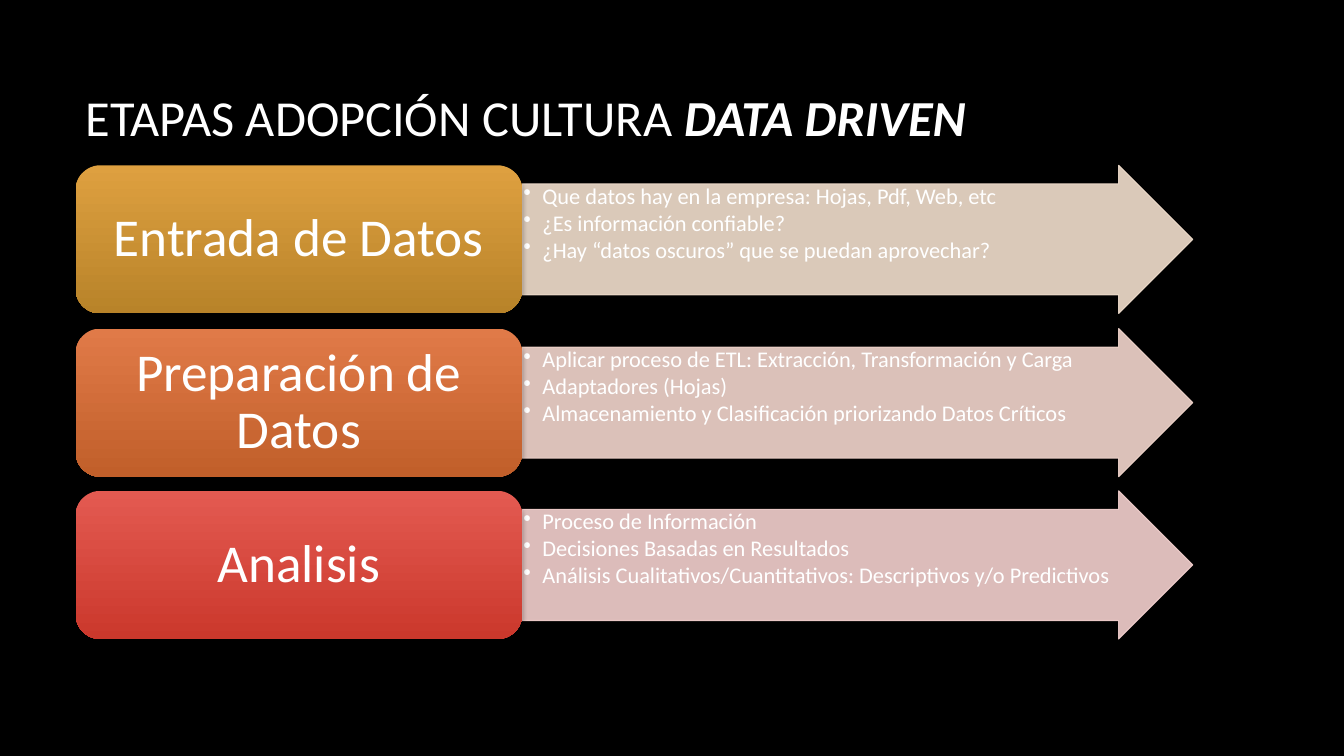
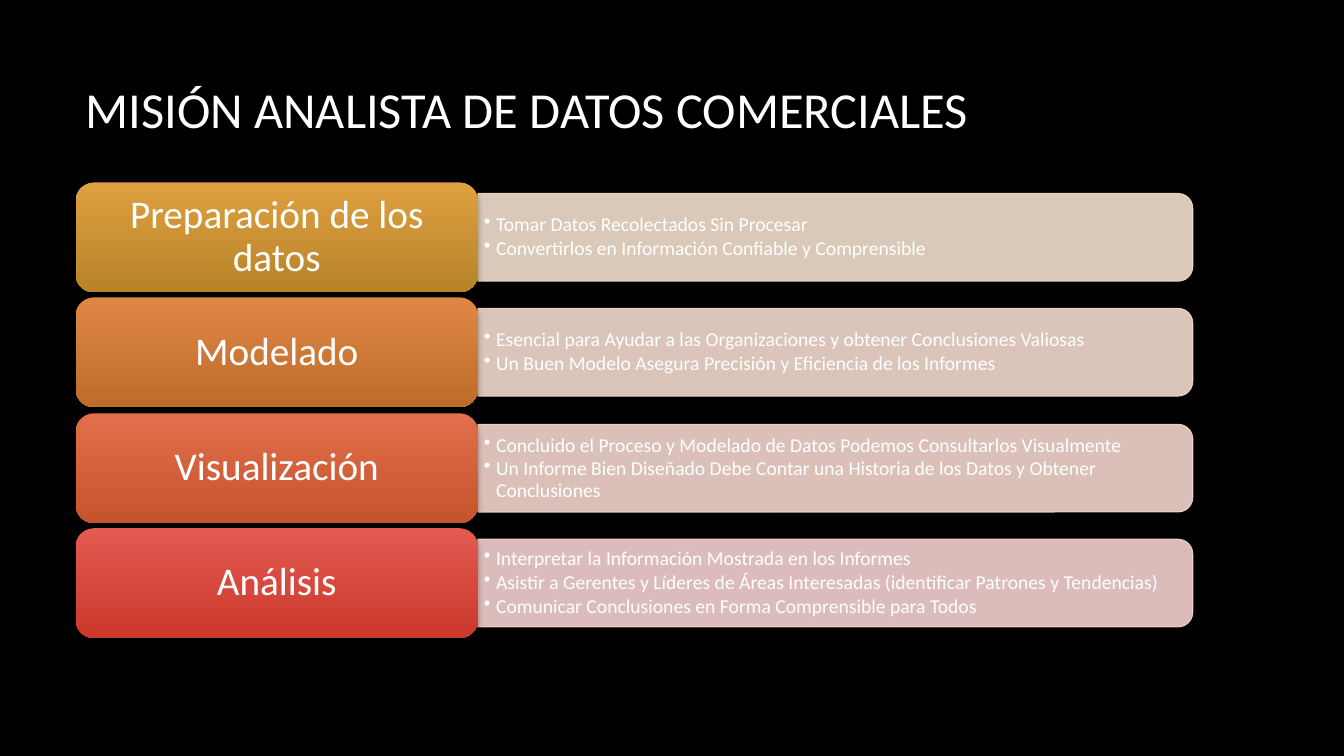
from lxml.etree import SubElement
from pptx import Presentation
from pptx.dml.color import RGBColor
from pptx.enum.shapes import MSO_SHAPE
from pptx.enum.text import MSO_ANCHOR, PP_ALIGN
from pptx.oxml.ns import qn
from pptx.util import Emu, Pt

PX = 9144
FONT = "Calibri"
COLORS = {
    "fondo": "000000",
    "texto": "FFFFFF",
    "ocre": "DEA040", "ocre_base": "B88329", "ocre_claro": "F2DFCE",
    "ambar": "DF8646", "ambar_base": "BE6C2A", "ambar_claro": "F3DACE",
    "naranja": "E07A48", "naranja_base": "C15F2A", "naranja_claro": "F3D7CE",
    "teja": "E16F4B", "teja_base": "C5532B", "teja_claro": "F3D5CF",
    "rojo": "E35A51", "rojo_base": "CB382C", "rojo_claro": "F4D1CF",
}
LEFT, RIGHT = 75, 1183

STAGES = [
    ("ocre", "Entrada de Datos", [
        "Que datos hay en la empresa: Hojas, Pdf, Web, etc",
        "¿Es información confiable?",
        "¿Hay “datos oscuros” que se puedan aprovechar?"]),
    ("naranja", "Preparación de Datos", [
        "Aplicar proceso de ETL: Extracción, Transformación y Carga",
        "Adaptadores (Hojas)",
        "Almacenamiento y Clasificación priorizando Datos Críticos"]),
    ("rojo", "Analisis", [
        "Proceso de Información",
        "Decisiones Basadas en Resultados",
        "Análisis Cualitativos/Cuantitativos: Descriptivos y/o Predictivos"]),
]
MISSION = [
    ("ocre", "Preparación de los datos", [
        "Tomar Datos Recolectados Sin Procesar",
        "Convertirlos en Información Confiable y Comprensible"]),
    ("ambar", "Modelado", [
        "Esencial para Ayudar a las Organizaciones y obtener Conclusiones Valiosas",
        "Un Buen Modelo Asegura Precisión y Eficiencia de los Informes"]),
    ("teja", "Visualización", [
        "Concluido el Proceso y Modelado de Datos Podemos Consultarlos Visualmente",
        "Un Informe Bien Diseñado Debe Contar una Historia de los Datos y Obtener Conclusiones"]),
    ("rojo", "Análisis", [
        "Interpretar la Información Mostrada en los Informes",
        "Asistir a Gerentes y Líderes de Áreas Interesadas (identificar Patrones y Tendencias)",
        "Comunicar Conclusiones en Forma Comprensible para Todos"]),
]


def px(*lengths):
    return [Emu(round(length * PX)) for length in lengths]


def rgb(name):
    return RGBColor.from_string(COLORS[name])


def apply(target, values):
    for name, value in values.items():
        setattr(target, name, value)


def row_tops(top, bottom, height, count):
    step = (bottom - top - height) / (count - 1)
    return [round(top + step * row) for row in range(count)]


class Deck:
    def __init__(self):
        self.presentation = Presentation()
        width, height = px(1333, 750)
        apply(self.presentation, {"slide_width": width, "slide_height": height})
        self.slide = None

    def new_slide(self):
        self.slide = self.presentation.slides.add_slide(self.presentation.slide_layouts[6])
        fill = self.slide.background.fill
        fill.solid()
        fill.fore_color.rgb = rgb("fondo")

    def frame(self, holder, anchor, inset_x, inset_y):
        side, edge = px(inset_x, inset_y)
        apply(holder.text_frame, {
            "word_wrap": True, "vertical_anchor": anchor,
            "margin_left": side, "margin_right": side,
            "margin_top": edge, "margin_bottom": edge})
        return holder.text_frame

    def run(self, paragraph, text, size, **emphasis):
        run = paragraph.add_run()
        run.text = text
        apply(run.font, {"name": FONT, "size": Pt(size), **emphasis})
        run.font.color.rgb = rgb("texto")

    def title(self, height, text, emphasized=""):
        box = self.slide.shapes.add_textbox(*px(LEFT, 67, RIGHT - LEFT, height))
        paragraph = self.frame(box, MSO_ANCHOR.MIDDLE, 10, 5).paragraphs[0]
        self.run(paragraph, text, 36)
        if emphasized:
            self.run(paragraph, emphasized, 36, bold=True, italic=True)

    def shadow(self, shape):
        shape.shadow.inherit = False
        effects = shape.element.spPr.find(qn("a:effectLst"))
        outer = SubElement(effects, qn("a:outerShdw"), blurRad="50800", dist="38100",
                           dir="5400000", rotWithShape="0")
        color = SubElement(outer, qn("a:srgbClr"), val=COLORS["fondo"])
        SubElement(color, qn("a:alpha"), val="35000")

    def label(self, left, top, width, height, tone, text, size, inset):
        label = self.slide.shapes.add_shape(
            MSO_SHAPE.ROUNDED_RECTANGLE, *px(left, top, width, height))
        label.fill.gradient()
        label.fill.gradient_angle = 270
        for stop, name in zip(label.fill.gradient_stops, (tone, tone + "_base")):
            stop.color.rgb = rgb(name)
        label.line.fill.background()
        self.shadow(label)
        paragraph = self.frame(label, MSO_ANCHOR.MIDDLE, inset, inset / 2).paragraphs[0]
        apply(paragraph, {"alignment": PP_ALIGN.CENTER, "line_spacing": 0.9})
        self.run(paragraph, text, size)

    def pale_shape(self, preset, left, top, width, height, tone):
        shape = self.slide.shapes.add_shape(preset, *px(left, top, width, height))
        shape.fill.solid()
        shape.line.width = Pt(0.75)
        for color in (shape.fill.fore_color, shape.line.color):
            color.rgb = rgb(tone + "_claro")
        for color in shape.element.spPr.iter(qn("a:srgbClr")):
            SubElement(color, qn("a:alpha"), val="90000")
        self.shadow(shape)
        return shape

    def bullets(self, text_frame, items, size, indent):
        for row, item in enumerate(items):
            paragraph = text_frame.add_paragraph() if row else text_frame.paragraphs[0]
            properties = paragraph._p.get_or_add_pPr()
            hang = px(indent)[0]
            properties.set("marL", str(hang))
            properties.set("indent", str(-hang))
            SubElement(properties, qn("a:buChar"), char="•")
            apply(paragraph, {"alignment": PP_ALIGN.LEFT, "line_spacing": 0.9,
                              "space_after": Pt(size * 0.13)})
            self.run(paragraph, item, size)

    def arrow(self, left, top, height, tone, items):
        arrow = self.pale_shape(MSO_SHAPE.RIGHT_ARROW, left, top, RIGHT - left, height, tone)
        arrow.adjustments[0] = 0.75
        arrow.adjustments[1] = 0.5
        self.bullets(self.frame(arrow, MSO_ANCHOR.TOP, 1, 1), items, 16, 19)

    def band(self, left, middle, height, tone, items):
        length = RIGHT - left
        band = self.pale_shape(MSO_SHAPE.ROUND_2_SAME_RECTANGLE,
                               left + (length - height) / 2, middle - length / 2,
                               height, length, tone)
        band.rotation = 90
        box = self.slide.shapes.add_textbox(
            *px(left, middle - height / 2 + 4, length - 4, height - 8))
        self.bullets(self.frame(box, MSO_ANCHOR.MIDDLE, 6, 3), items, 14, 12)


def stages_slide(deck):
    deck.new_slide()
    deck.title(97, "ETAPAS ADOPCIÓN CULTURA ", "DATA DRIVEN")
    width, height = 443, 147
    for top, (tone, name, items) in zip(row_tops(164, 634, height, len(STAGES)), STAGES):
        deck.arrow(LEFT + width, top, height, tone, items)
        deck.label(LEFT, top, width, height, tone, name, 38, 16)


def mission_slide(deck):
    deck.new_slide()
    deck.title(81, "MISIÓN ANALISTA DE DATOS COMERCIALES")
    width, height = 399, 109
    for top, (tone, name, items) in zip(row_tops(181, 633, height, len(MISSION)), MISSION):
        deck.band(LEFT + width, top + height / 2, 87, tone, items)
        deck.label(LEFT, top, width, height, tone, name, 28, 12)


def main():
    deck = Deck()
    stages_slide(deck)
    mission_slide(deck)
    deck.presentation.save("out.pptx")


if __name__ == "__main__":
    main()
